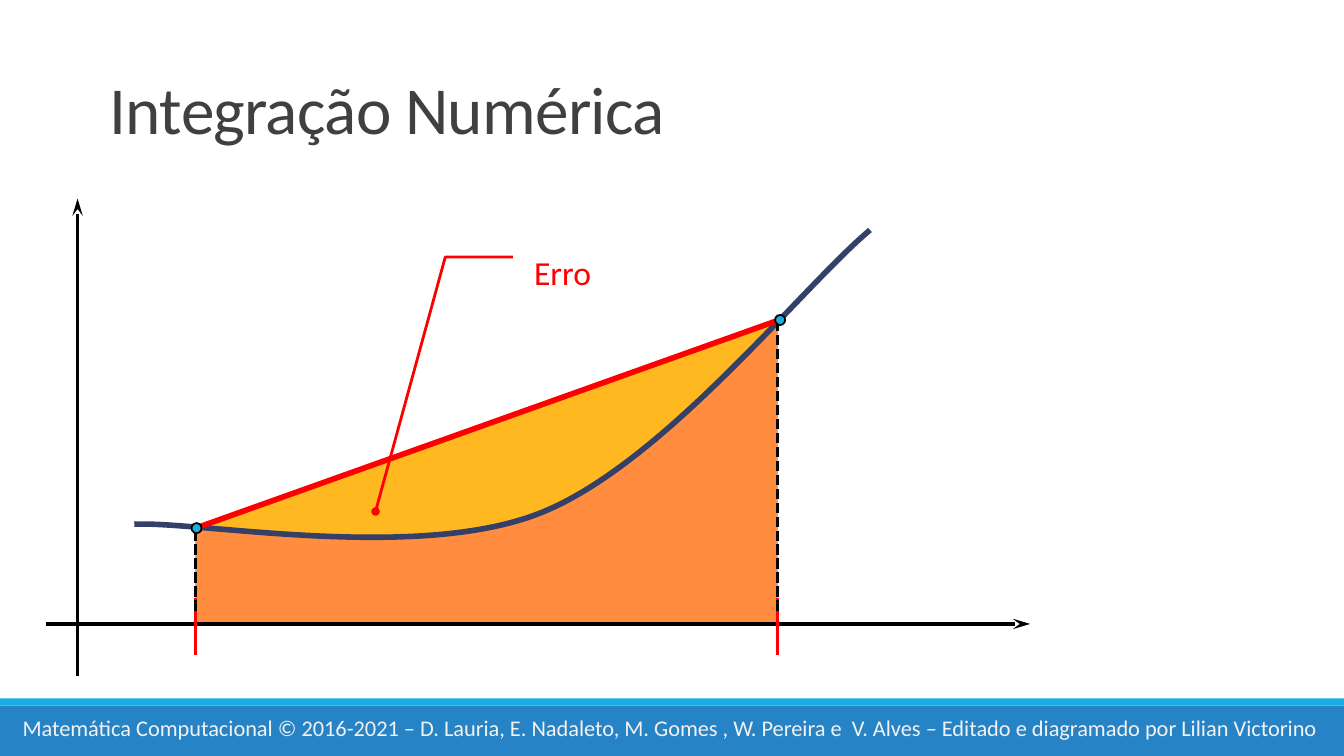
"""Draw the trapezoid rule and its error on a 160 by 90 grid slide."""
import pptx
import pptx.dml.color
import pptx.enum.dml
import pptx.enum.shapes
import pptx.enum.text
import pptx.oxml
import pptx.oxml.ns
import pptx.util

COLUMNS, ROWS = 160, 90
CELL = pptx.util.Inches(13.333) / COLUMNS
SHAPE = pptx.enum.shapes.MSO_SHAPE
ANCHOR = pptx.enum.text.MSO_ANCHOR
DASHED = pptx.enum.dml.MSO_LINE.SQUARE_DOT
BLACK, RED, BLUE, NAVY = "000000", "FF0000", "1CADE4", "344068"
LOWER, UPPER, AXIS = 23.28, 92.58, 74.28


def grid(*cells):
    return [round(cell * CELL) for cell in cells]


def colour(hex_code):
    return pptx.dml.color.RGBColor.from_string(hex_code)


def apply_format(target, values):
    for name, value in values.items():
        setattr(target, name, value)


def find(parent, tag):
    return parent.find(".//" + pptx.oxml.ns.qn(f"a:{tag}"))


def new_element(tag, **attributes):
    element = pptx.oxml.parse_xml(f"<a:{tag} {pptx.oxml.ns.nsdecls('a')}/>")
    for name, value in attributes.items():
        element.set(name, value)
    return element


def paint(shape, fill=None, opacity=100, line=None, width=1):
    shape.shadow.inherit = False
    if fill:
        shape.fill.solid()
        shape.fill.fore_color.rgb = colour(fill)
        if opacity < 100:
            shade = find(shape.element.spPr, "srgbClr")
            shade.append(new_element("alpha", val=str(opacity * 1000)))
    else:
        shape.fill.background()
    if line:
        shape.line.color.rgb = colour(line)
        shape.line.width = pptx.util.Pt(width)
    else:
        shape.line.fill.background()


def square_ends(shape):
    find(shape.element.spPr, "ln").set("cap", "sq")


def add_arrowhead(shape, **head):
    find(shape.element.spPr, "ln").append(new_element("tailEnd", **head))


def add_preset(slide, preset, box, **look):
    shape = slide.shapes.add_shape(preset, *grid(*box))
    paint(shape, **look)
    return shape


def add_line(slide, start, end, line, width=2.5, dash=None, square=True):
    connector = slide.shapes.add_connector(
        pptx.enum.shapes.MSO_CONNECTOR.STRAIGHT, *grid(*start, *end))
    connector.line.color.rgb = colour(line)
    apply_format(connector.line, {"width": pptx.util.Pt(width), "dash_style": dash})
    if square:
        square_ends(connector)
    connector.element.spPr.append(new_element("effectLst"))
    return connector


def add_outline(slide, start, segments, close=True, **look):
    """Draw segments of one point as straight lines and of three points as cubic curves."""
    corners = [grid(*point) for segment in segments for point in segment]
    builder = slide.shapes.build_freeform(*grid(*start), scale=1.0)
    builder.add_line_segments(corners, close=close)
    shape = builder.convert_to_shape()
    steps = iter(shape.element.spPr.findall(".//" + pptx.oxml.ns.qn("a:lnTo")))
    for segment in segments:
        members = [next(steps) for _ in segment]
        if len(members) == 3:
            curve = new_element("cubicBezTo")
            members[0].addprevious(curve)
            for member in members:
                curve.append(member[0])
                member.getparent().remove(member)
    paint(shape, **look)
    return shape


def write(shape, text, size, ink, anchor, line_spacing=None, tracking=None):
    frame = shape.text_frame
    apply_format(frame, {"word_wrap": True, "vertical_anchor": anchor})
    paragraph = frame.paragraphs[0]
    apply_format(paragraph, {"alignment": pptx.enum.text.PP_ALIGN.LEFT,
                             "line_spacing": line_spacing})
    run = paragraph.add_run()
    run.text = text
    apply_format(run.font, {"name": "Calibri", "size": pptx.util.Pt(size)})
    run.font.color.rgb = colour(ink)
    if tracking:
        find(shape.element, "rPr").set("spc", str(tracking))


def add_text(slide, box, text, size, ink, anchor, **layout):
    write(slide.shapes.add_textbox(*grid(*box)), text, size, ink, anchor, **layout)


def add_footer(slide):
    add_preset(slide, SHAPE.RECTANGLE, (0, 84, COLUMNS, 6), fill="2683C6")
    add_preset(slide, SHAPE.RECTANGLE, (0, 83.16, COLUMNS, 0.84), fill=BLUE)
    add_text(slide, (1.5, 84.48, 157.2, 4.44),
             "Matemática Computacional © 2016-2021 – D. Lauria, E. Nadaleto, "
             "M. Gomes , W. Pereira e  V. Alves – Editado e diagramado por "
             "Lilian Victorino", 16, "F2F2F2", ANCHOR.TOP)


def add_areas(slide):
    add_outline(slide, (LOWER, AXIS),
                [[(LOWER, 62.64)], [(UPPER, 38.16)], [(UPPER, AXIS)]],
                fill=RED, opacity=50)
    add_outline(slide, (92.4, 38.4),
                [[(LOWER, 63)],
                 [(37.92, 63.96), (52.68, 65.16), (64.2, 60.96)],
                 [(75.72, 56.88), (86.52, 43.08), (92.4, 38.4)]],
                fill="FFCC00", opacity=74)
    add_outline(slide, (LOWER, AXIS),
                [[(LOWER, 62.4)],
                 [(31.68, 63.6), (52.2, 65.52), (63.84, 61.44)],
                 [(75.36, 57.36), (82.68, 47.76), (UPPER, 38.04)],
                 [(UPPER, AXIS)]],
                fill="FF9900", opacity=50)


def add_graph(slide):
    for start, end in (((9.24, 80.28), (9.24, 23.64)), ((5.64, AXIS), (122.64, AXIS))):
        axis = add_line(slide, start, end, BLACK)
        add_arrowhead(axis, type="stealth", w="med", len="lg")
    function = add_outline(slide, (16.32, 62.4),
                           [[(24.36, 62.16), (49.8, 66.84), (64.32, 61.08)],
                            [(78.84, 55.32), (95.16, 34.56), (103.32, 27.6)]],
                           close=False, line=NAVY, width=4)
    square_ends(function)
    for limit, top in ((LOWER, 62.76), (UPPER, 38.4)):
        add_line(slide, (limit, 71.4), (limit, 77.76), RED)
        add_line(slide, (limit, 72.72), (limit, top), BLACK, dash=DASHED, square=False)
    add_line(slide, (LOWER, 62.88), (UPPER, 38.16), RED, width=4, square=False)


def add_error_callout(slide):
    callout = add_preset(slide, SHAPE.LINE_CALLOUT_2_NO_BORDER,
                         (62.4, 28.6, 16.44, 7.56), line=RED, width=2)
    for index, share in enumerate((0.265, -0.081, 0.265, -0.571, 4.272, -1.076)):
        callout.adjustments[index] = share
    add_arrowhead(callout, type="oval")
    write(callout, "Erro", 24, RED, ANCHOR.MIDDLE)


def main():
    deck = pptx.Presentation()
    apply_format(deck, dict(zip(("slide_width", "slide_height"), grid(COLUMNS, ROWS))))
    slide = deck.slides.add_slide(deck.slide_layouts[6])
    add_footer(slide)
    add_areas(slide)
    add_graph(slide)
    add_error_callout(slide)
    for node in ((92.28, 37.5), (22.8, 62.28)):
        add_preset(slide, SHAPE.OVAL, (*node, 1.2, 1.2), fill=BLUE, line=BLACK, width=1.25)
    add_text(slide, (11.88, -0.84, 132, 19.08), "Integração Numérica", 48, "404040",
             ANCHOR.BOTTOM, line_spacing=0.85, tracking=-50)
    deck.save("out.pptx")


if __name__ == "__main__":
    main()
